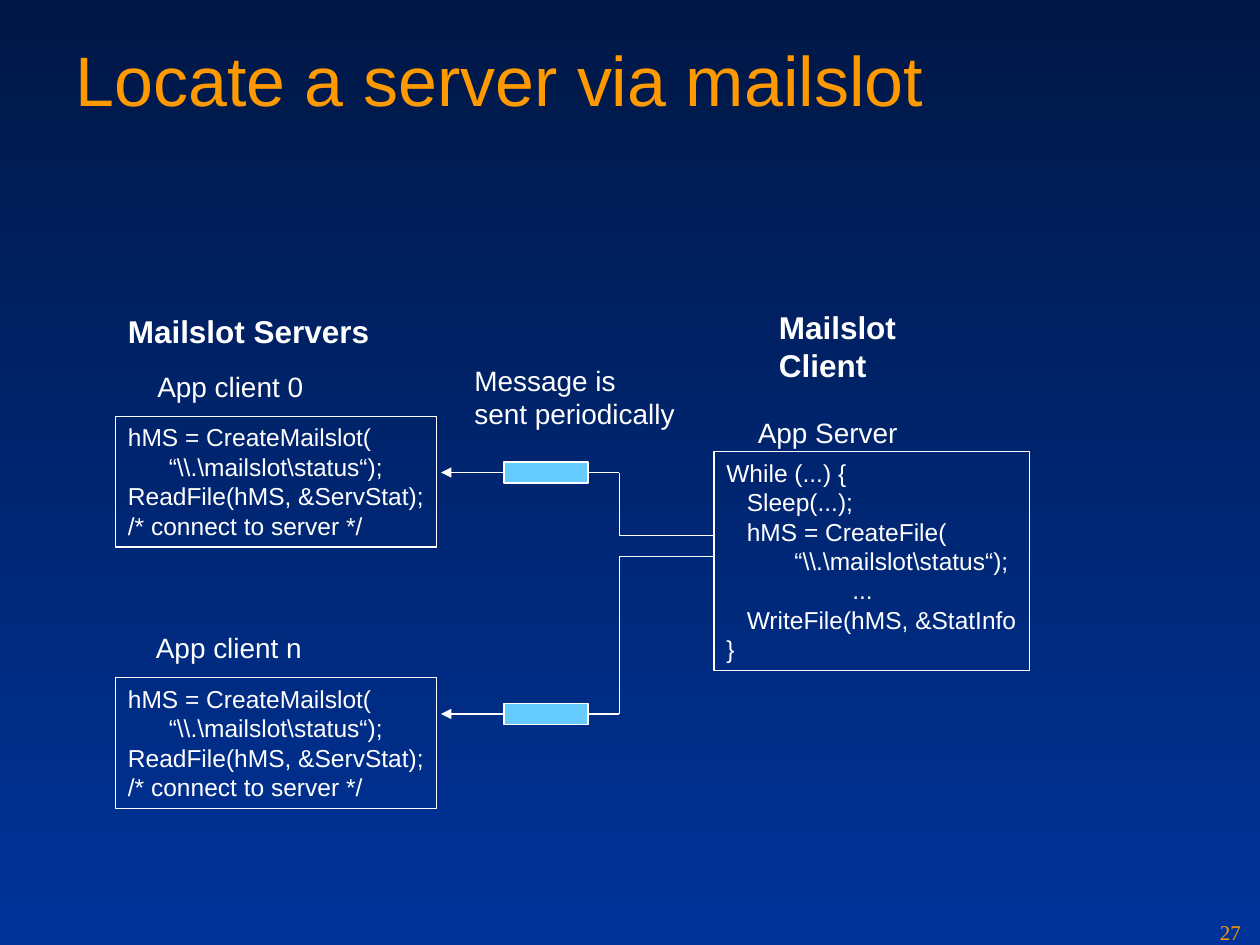
from pptx import Presentation
from pptx.dml.color import RGBColor
from pptx.enum.shapes import MSO_CONNECTOR, MSO_SHAPE
from pptx.enum.text import MSO_ANCHOR, MSO_AUTO_SIZE, PP_ALIGN
from pptx.oxml.ns import qn
from pptx.util import Pt
from lxml.etree import SubElement

COLORS = {"top": "001746", "bottom": "003399", "accent": "FE9900",
          "ink": "FFFFFF", "message": "66CCFF"}

# Code lines as (indent in points, text)
SERVER_CODE = [(0, "hMS = CreateMailslot("),
               (23.35, "“\\\\.\\mailslot\\status“);"),
               (0, "ReadFile(hMS, &ServStat);"),
               (0, "/* connect to server */")]
CLIENT_CODE = [(0, "While (...) {"),
               (11.67, "Sleep(...);"),
               (11.67, "hMS = CreateFile("),
               (38.91, "“\\\\.\\mailslot\\status“);"),
               (72, "..."),
               (11.67, "WriteFile(hMS, &StatInfo"),
               (0, "}")]


def color(name):
    return RGBColor.from_string(COLORS[name])


def style(p, size, name="ink", font="Arial", bold=False):
    p.alignment = PP_ALIGN.LEFT
    p.font.size = Pt(size)
    p.font.name = font
    p.font.bold = bold
    p.font.color.rgb = color(name)


def paint_background(s):
    fill = s.background.fill
    fill.gradient()
    fill.gradient_angle = 270
    for stop, position, name in zip(fill.gradient_stops, (0, 1), ("top", "bottom")):
        stop.position = position
        stop.color.rgb = color(name)


def add_title(s, text):
    sp = s.shapes.title
    sp.left, sp.top, sp.width, sp.height = Pt(36), Pt(17.5), Pt(648), Pt(90)
    tf = sp.text_frame
    tf.text = text
    tf.auto_size = MSO_AUTO_SIZE.NONE
    tf.vertical_anchor = MSO_ANCHOR.TOP
    style(tf.paragraphs[0], 40, "accent")


def add_label(s, text, x, y, w, h, size=16, **font):
    tf = s.shapes.add_textbox(Pt(x), Pt(y), Pt(w), Pt(h)).text_frame
    tf.word_wrap = False
    tf.text = text
    style(tf.paragraphs[0], size, **font)


def add_box(s, x, y, w, h, fill=None):
    sp = s.shapes.add_shape(MSO_SHAPE.RECTANGLE, Pt(x), Pt(y), Pt(w), Pt(h))
    sp.shadow.inherit = False
    if fill:
        sp.fill.solid()
        sp.fill.fore_color.rgb = color(fill)
    else:
        sp.fill.background()
    sp.line.color.rgb = color("ink")
    sp.line.width = Pt(0.75)
    return sp


def add_code(s, lines, x, y, w, h):
    tf = add_box(s, x, y, w, h).text_frame
    tf.word_wrap = False
    tf.auto_size = MSO_AUTO_SIZE.SHAPE_TO_FIT_TEXT
    tf.vertical_anchor = MSO_ANCHOR.TOP
    for i, (indent, text) in enumerate(lines):
        p = tf.add_paragraph() if i else tf.paragraphs[0]
        p.text = text
        style(p, 14)
        p._p.get_or_add_pPr().set("marL", str(Pt(indent)))


def add_line(s, start, end, arrow=False):
    c = s.shapes.add_connector(MSO_CONNECTOR.STRAIGHT, *map(Pt, start + end))
    c.line.color.rgb = color("ink")
    c.line.width = Pt(0.75)
    if arrow:
        SubElement(c.line._get_or_add_ln(), qn("a:tailEnd"), type="triangle")
    SubElement(c._element.spPr, qn("a:effectLst"))


def add_message_route(s, y_client, y_server):
    """Lead from the client through a message block to a server."""
    x_client, x_bend, x_block, block_w, x_server = 408, 354, 288, 48, 252
    points = [(x_client, y_client), (x_bend, y_client),
              (x_bend, y_server), (x_block + block_w, y_server)]
    for start, end in zip(points, points[1:]):
        add_line(s, start, end)
    add_box(s, x_block, y_server - 6, block_w, 12, "message")
    add_line(s, (x_block, y_server), (x_server, y_server), arrow=True)


def main():
    prs = Presentation()
    prs.slide_width, prs.slide_height = Pt(720), Pt(540)
    s = prs.slides.add_slide(prs.slide_layouts[5])
    paint_background(s)
    add_title(s, "Locate a server via mailslot")

    # Mailslot servers, one above the other
    add_label(s, "Mailslot Servers", 66, 174.5, 153, 29, 18, bold=True)
    for name, x, y in (("App client 0", 82.8, 207.5), ("App client n", 82, 357)):
        add_label(s, name, x, y, 98, 26.5)
        add_code(s, SERVER_CODE, 66, y + 30.3, 183.5, 74.8)

    # Mailslot client
    add_label(s, "Mailslot Client", 438, 172.5, 136, 29, 18, bold=True)
    add_label(s, "App Server", 426, 233.8, 94, 26.5)
    add_code(s, CLIENT_CODE, 408, 258, 180.5, 125.3)

    # Messages from the client to each server
    add_label(s, "Message is\vsent periodically", 264, 204, 129, 46)
    add_message_route(s, 306, 270)
    add_message_route(s, 318, 408)

    # Slide number
    add_label(s, "27", 690, 522, 30, 18, 12, name="accent", font="Times New Roman")
    prs.save("out.pptx")


if __name__ == "__main__":
    main()
